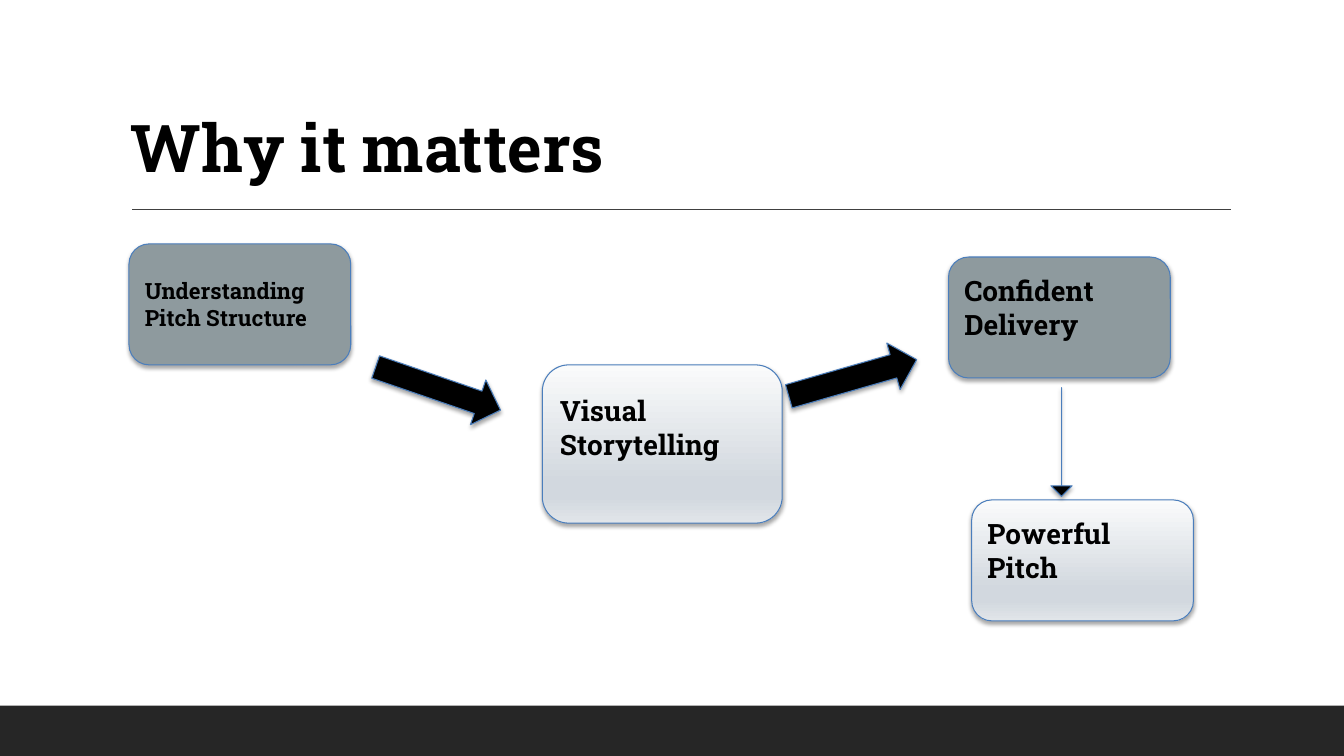
from dataclasses import dataclass

from lxml.etree import SubElement as Sub
from pptx import Presentation
from pptx.dml.color import RGBColor as Rgb
from pptx.enum.shapes import MSO_CONNECTOR as Link, MSO_SHAPE as Kind
from pptx.enum.text import MSO_ANCHOR as Anchor, PP_ALIGN as Align
from pptx.oxml.ns import qn
from pptx.util import Inches, Pt

WIDE, HIGH = Inches(13.333), Inches(7.5)


@dataclass(frozen=True)
class Theme:
    font: str = "Roboto Slab"
    ink: str = "000000"
    bar: str = "262626"
    rule: str = "404040"
    edge: str = "4B7EBC"
    slate: str = "8E9A9E"
    mist: tuple = ((0, "FAFBFB"), (74, "D2D8DF"), (83, "D2D8DF"), (100, "E1E5E9"))
    title: int = 47
    large: int = 20
    small: int = 16


LOOK = Theme()


def place(left, top, width, height):
    """Turn percentages of the slide's size into lengths."""
    return (int(WIDE * left / 100), int(HIGH * top / 100),
            int(WIDE * width / 100), int(HIGH * height / 100))


def write(shape, text, size, anchor=Anchor.MIDDLE, lines=1.0, below=0.05):
    frame = shape.text_frame
    frame.word_wrap = True
    frame.vertical_anchor = anchor
    frame.margin_bottom = Inches(below)
    para = frame.paragraphs[0]
    para.alignment = Align.LEFT
    para.line_spacing = lines
    run = para.add_run()
    run.text = text
    font = run.font
    font.name, font.size, font.bold = LOOK.font, Pt(size), True
    font.color.rgb = Rgb.from_string(LOOK.ink)


def paint(shape, color):
    """Fill with one colour, or with (percent, colour) stops from top to bottom."""
    fill = shape.fill
    if isinstance(color, str):
        fill.solid()
        fill.fore_color.rgb = Rgb.from_string(color)
        return
    fill.gradient()
    fill.gradient_angle = 270
    stops = shape._element.spPr.find(".//" + qn("a:gsLst"))
    for old in list(stops):
        stops.remove(old)
    for share, shade in color:
        stop = Sub(stops, qn("a:gs"), pos=str(share * 1000))
        Sub(stop, qn("a:srgbClr"), val=shade)


def shade(shape):
    """Add a soft shadow straight below the shape."""
    shape.shadow.inherit = False
    effects = shape._element.spPr.find(qn("a:effectLst"))
    drop = Sub(effects, qn("a:outerShdw"), blurRad=str(Pt(3.1)), dist=str(Pt(1.8)),
               dir="5400000", rotWithShape="0")
    tint = Sub(drop, qn("a:srgbClr"), val=LOOK.ink)
    Sub(tint, qn("a:alpha"), val="35000")


def block(slide, kind, area, color):
    """Add a filled shape with a thin edge and a shadow."""
    shape = slide.shapes.add_shape(kind, *place(*area))
    paint(shape, color)
    shape.line.color.rgb = Rgb.from_string(LOOK.edge)
    shape.line.width = Pt(0.75)
    shade(shape)
    return shape


def node(slide, text, left, top, color, width=16.5, height=16, size=LOOK.large, below=0.25):
    shape = block(slide, Kind.ROUNDED_RECTANGLE, (left, top, width, height), color)
    write(shape, text, size, below=below)


def arrow(slide, area, turn, thin=False):
    shape = block(slide, Kind.RIGHT_ARROW, area, LOOK.ink)
    shape.rotation = turn
    if thin:
        shape.adjustments[0] = 0


def footer(slide):
    bar = slide.shapes.add_shape(Kind.RECTANGLE, *place(0, 93.33, 100, 6.67))
    paint(bar, LOOK.bar)
    bar.line.fill.background()
    bar.shadow.inherit = False


def rule(slide, left, top, width):
    x, y, length, _ = place(left, top, width, 0)
    line = slide.shapes.add_connector(Link.STRAIGHT, x, y, x + length, y)
    line.line.color.rgb = Rgb.from_string(LOOK.rule)
    line.line.width = Pt(1)
    Sub(line._element.spPr, qn("a:effectLst"))


def main():
    deck = Presentation()
    deck.slide_width, deck.slide_height = WIDE, HIGH
    slide = deck.slides.add_slide(deck.slide_layouts[6])

    footer(slide)
    rule(slide, 9.83, 27.73, 81.75)
    title = slide.shapes.add_textbox(*place(9, 4.13, 82.5, 21.2))
    write(title, "Why it matters", LOOK.title, anchor=Anchor.BOTTOM, lines=0.9)

    node(slide, "Understanding Pitch Structure", 9.6, 32.27, LOOK.slate,
         size=LOOK.small, below=0.05)
    node(slide, "Visual Storytelling", 40.35, 48.27, LOOK.mist,
         width=17.85, height=20.93, below=0.38)
    node(slide, "Confident Delivery", 70.58, 34, LOOK.slate)
    node(slide, "Powerful Pitch", 72.3, 66.13, LOOK.mist)

    arrow(slide, (27.68, 48.27, 9.83, 6.27), 19)
    arrow(slide, (58.5, 46.8, 9.9, 6.4), 344)
    arrow(slide, (74.93, 57.07, 8.1, 2.8), 90, thin=True)
    deck.save("out.pptx")


if __name__ == "__main__":
    main()
